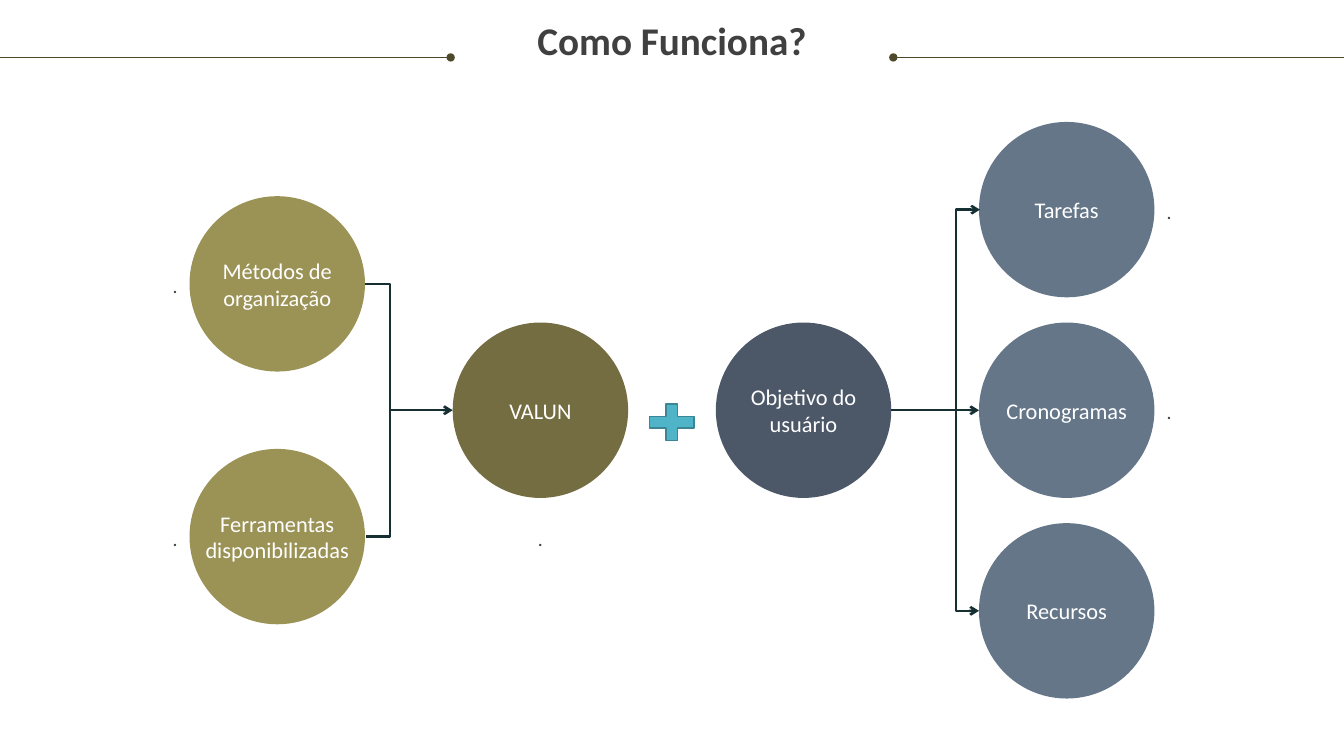
"""Build the slide that shows how the planner joins methods, tools and user goals."""
from dataclasses import dataclass

from lxml import etree
from pptx import Presentation
from pptx.dml.color import RGBColor
from pptx.enum.shapes import MSO_CONNECTOR, MSO_SHAPE
from pptx.enum.text import MSO_ANCHOR, MSO_AUTO_SIZE, PP_ALIGN
from pptx.oxml.ns import qn
from pptx.util import Inches, Pt

STRAIGHT, ELBOW = MSO_CONNECTOR.STRAIGHT, MSO_CONNECTOR.ELBOW
OVAL, PLUS = MSO_SHAPE.OVAL, MSO_SHAPE.MATH_PLUS
LEFT, CENTER, RIGHT = PP_ALIGN.LEFT, PP_ALIGN.CENTER, PP_ALIGN.RIGHT
TOP, MIDDLE = MSO_ANCHOR.TOP, MSO_ANCHOR.MIDDLE
FIT_SHAPE, NO_FIT = MSO_AUTO_SIZE.SHAPE_TO_FIT_TEXT, MSO_AUTO_SIZE.NONE

COLORS = {
    "text": "404040", "label": "FFFFFF", "rule": "4E492B", "arrow": "162F33",
    "source": "9B9256", "product": "746D41", "goal": "4C5867",
    "result": "657689", "plus": "50B4C8", "plus_line": "3B8594",
}
FONT = "Calibri"
WIDTH, HEIGHT = 13.33, 7.5
FIRST_COLUMN, COLUMN_STEP = 2.75, 2.61
MIDDLE_ROW, ROW_STEP = 4.07, 1.99
SOURCE_ROW = 0.63
RADIUS = 0.87
RULE_Y, RULE_LENGTH = 0.57, 4.47
LABEL_WIDTH, LABEL_LINE = 1.5, 0.27
NOTE_WIDTH, NOTE_HEIGHT, NOTE_GAP = 1.47, 0.25, 0.12
ELBOW_WIDTH = 0.01


@dataclass(frozen=True)
class Node:
    column: int
    row: float
    text: str
    color: str
    lines: int = 1


@dataclass(frozen=True)
class Note:
    column: int
    row: float
    side: int
    alignment: PP_ALIGN


@dataclass(frozen=True)
class Link:
    start: tuple[float, float]
    end: tuple[float, float]
    color: str = "arrow"
    weight: float = 1.75
    head: str = ""
    tail: str = ""
    bend: float = 0


def column_x(column: float) -> float:
    return FIRST_COLUMN + column * COLUMN_STEP


def row_y(row: float) -> float:
    return MIDDLE_ROW + row * ROW_STEP


def left_edge(column: float) -> float:
    return column_x(column) - RADIUS


def right_edge(column: float) -> float:
    return column_x(column) + RADIUS


def rgb(name: str) -> RGBColor:
    return RGBColor.from_string(COLORS[name])


NODES = [
    Node(0, -SOURCE_ROW, "Métodos de organização", "source", 2),
    Node(0, SOURCE_ROW, "Ferramentas disponibilizadas", "source", 2),
    Node(1, 0, "VALUN", "product"),
    Node(2, 0, "Objetivo do usuário", "goal", 2),
    Node(3, 0, "Cronogramas", "result"),
    Node(3, -1, "Tarefas", "result"),
    Node(3, 1, "Recursos", "result"),
]
NOTES = [
    Note(1, SOURCE_ROW, 0, CENTER),
    Note(3, -1, 1, LEFT),
    Note(3, 0, 1, LEFT),
    Note(0, -SOURCE_ROW, -1, RIGHT),
    Note(0, SOURCE_ROW, -1, RIGHT),
]
LINKS = [
    Link((WIDTH - RULE_LENGTH, RULE_Y), (WIDTH, RULE_Y), "rule", 0.75, head="oval"),
    Link((0, RULE_Y), (RULE_LENGTH, RULE_Y), "rule", 0.75, tail="oval"),
    Link((right_edge(0), row_y(-SOURCE_ROW)),
         (right_edge(0) + ELBOW_WIDTH, row_y(SOURCE_ROW)), bend=0.25),
    Link((right_edge(0) + 0.25, row_y(0)), (left_edge(1), row_y(0)), tail="arrow"),
    Link((right_edge(2), row_y(0)), (left_edge(3), row_y(0)), tail="arrow"),
    Link((left_edge(3) + ELBOW_WIDTH, row_y(-1)), (left_edge(3), row_y(1)),
         head="arrow", tail="arrow", bend=0.24),
]


def add_figure(slide, kind: MSO_SHAPE, center: tuple[float, float],
               size: tuple[float, float], color: str):
    (x, y), (width, height) = center, size
    shape = slide.shapes.add_shape(kind, Inches(x - width / 2), Inches(y - height / 2),
                                   Inches(width), Inches(height))
    shape.shadow.inherit = False
    shape.fill.solid()
    shape.fill.fore_color.rgb = rgb(color)
    shape.line.fill.background()
    return shape


def write(shape, text: str, size: float, color: str, alignment: PP_ALIGN = CENTER,
          spacing=1.0, bold: bool = False, anchor: MSO_ANCHOR = MIDDLE,
          fit: MSO_AUTO_SIZE = FIT_SHAPE) -> None:
    frame = shape.text_frame
    frame.text = text
    paragraph = frame.paragraphs[0]
    font = paragraph.runs[0].font
    formats = [
        (frame, {"word_wrap": True, "auto_size": fit, "vertical_anchor": anchor,
                 "margin_left": 0, "margin_right": 0, "margin_top": 0, "margin_bottom": 0}),
        (paragraph, {"alignment": alignment, "line_spacing": spacing}),
        (font, {"name": FONT, "size": Pt(size), "bold": bold}),
    ]
    for target, values in formats:
        for name, value in values.items():
            setattr(target, name, value)
    font.color.rgb = rgb(color)


def add_text(slide, center: tuple[float, float], size: tuple[float, float]):
    (x, y), (width, height) = center, size
    return slide.shapes.add_textbox(Inches(x - width / 2), Inches(y - height / 2),
                                    Inches(width), Inches(height))


def add_link(slide, link: Link) -> None:
    kind = ELBOW if link.bend else STRAIGHT
    connector = slide.shapes.add_connector(kind, *map(Inches, link.start + link.end))
    connector.line.color.rgb = rgb(link.color)
    connector.line.width = Pt(link.weight)
    properties = connector._element.spPr
    line = properties.find(qn("a:ln"))
    for tag, end in (("a:headEnd", link.head), ("a:tailEnd", link.tail)):
        if end:
            etree.SubElement(line, qn(tag), type=end)
    etree.SubElement(properties, qn("a:effectLst"))
    if link.bend:
        adjustments = properties.find(qn("a:prstGeom")).get_or_add_avLst()
        share = round(link.bend / ELBOW_WIDTH * 100000)
        etree.SubElement(adjustments, qn("a:gd"), name="adj1", fmla=f"val {share}")


def add_title(slide) -> None:
    title = slide.shapes.title
    bounds = {"left": 0.25, "top": 0.21, "width": 12.83, "height": 0.85}
    for name, value in bounds.items():
        setattr(title, name, Inches(value))
    write(title, "Como Funciona?", 28, "text", spacing=0.9, bold=True, anchor=TOP, fit=NO_FIT)


def main() -> None:
    presentation = Presentation()
    presentation.slide_width, presentation.slide_height = Inches(WIDTH), Inches(HEIGHT)
    slide = presentation.slides.add_slide(presentation.slide_layouts[5])
    add_title(slide)
    for node in NODES:
        center = (column_x(node.column), row_y(node.row))
        add_figure(slide, OVAL, center, (2 * RADIUS, 2 * RADIUS), node.color)
    for link in LINKS:
        add_link(slide, link)
    for node in NODES:
        center = (column_x(node.column), row_y(node.row))
        label = add_text(slide, center, (LABEL_WIDTH, node.lines * LABEL_LINE))
        write(label, node.text, 16, "label")
    for note in NOTES:
        offset = note.side * (RADIUS + NOTE_GAP + NOTE_WIDTH / 2)
        center = (column_x(note.column) + offset, row_y(note.row))
        box = add_text(slide, center, (NOTE_WIDTH, NOTE_HEIGHT))
        write(box, ".", 14, "text", note.alignment, Pt(19))
    plus = add_figure(slide, PLUS, (column_x(1.5), row_y(0.06)), (0.6, 0.49), "plus")
    plus.line.color.rgb = rgb("plus_line")
    plus.line.width = Pt(1)
    presentation.save("out.pptx")


if __name__ == "__main__":
    main()
